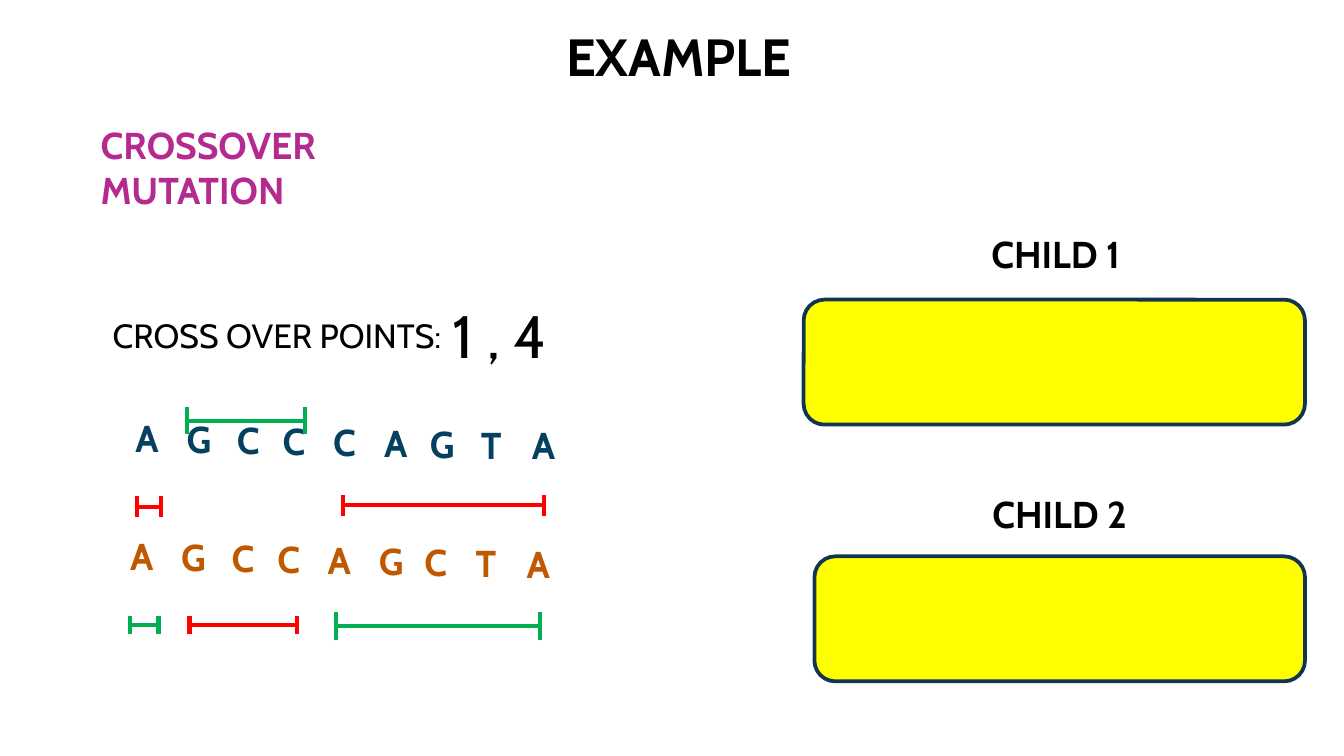
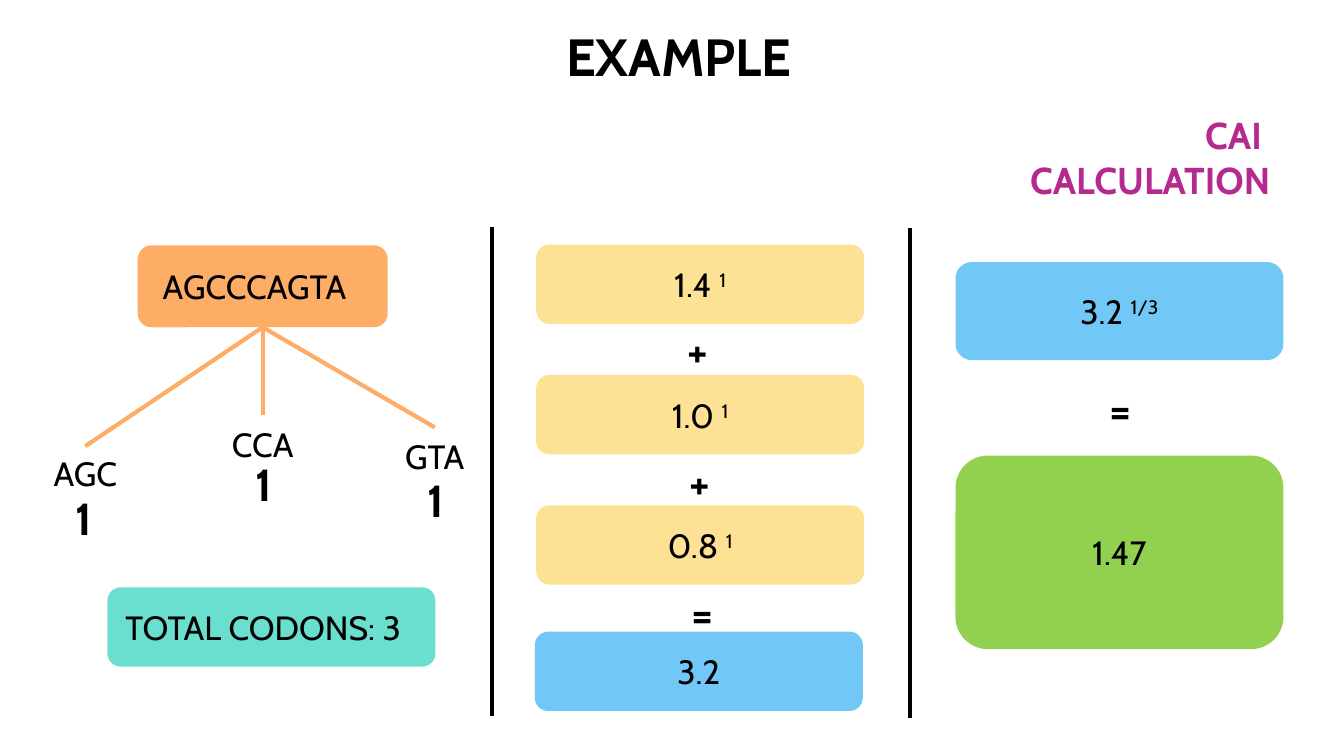
from dataclasses import dataclass
from itertools import accumulate
from typing import NamedTuple

from lxml import etree
from pptx import Presentation
from pptx.dml.color import RGBColor
from pptx.enum.shapes import MSO_CONNECTOR, MSO_SHAPE
from pptx.enum.text import MSO_ANCHOR, PP_ALIGN
from pptx.oxml.ns import qn
from pptx.util import Inches, Pt

STRAIGHT = MSO_CONNECTOR.STRAIGHT
ROUNDED = MSO_SHAPE.ROUNDED_RECTANGLE
TOP, MIDDLE = MSO_ANCHOR.TOP, MSO_ANCHOR.MIDDLE
LEFT, CENTER, RIGHT = PP_ALIGN.LEFT, PP_ALIGN.CENTER, PP_ALIGN.RIGHT
TOP_SIDE, BOTTOM_SIDE = 0, 2

SLIDE_WIDTH = Inches(10)
SLIDE_HEIGHT = SLIDE_WIDTH * 9 // 16
COLUMN = SLIDE_WIDTH / 100
ROW = SLIDE_HEIGHT / 56.25
PADDING = 1


@dataclass(frozen=True)
class Theme:
    font: str = "Cabin"
    black: str = "000000"
    heading: str = "B52A8F"
    first_parent: str = "054061"
    second_parent: str = "BF5901"
    red: str = "FF0000"
    green: str = "00B050"
    child: str = "FFFF00"
    child_edge: str = "123652"
    sequence: str = "FEAD67"
    total: str = "6ADFD0"
    term: str = "FDE295"
    result: str = "71C8F7"
    answer: str = "92D050"
    title_size: int = 28
    points_size: int = 32
    count_size: int = 24
    label_size: int = 20
    body_size: int = 18
    line_width: float = 2.25
    edge_width: float = 2


THEME = Theme()


class Area(NamedTuple):
    left: float
    top: float
    width: float
    height: float

    def lengths(self) -> tuple[int, int, int, int]:
        return (round(self.left * COLUMN), round(self.top * ROW),
                round(self.width * COLUMN), round(self.height * ROW))


class Style(NamedTuple):
    size: int = THEME.body_size
    color: str = THEME.black
    bold: bool = False
    align: PP_ALIGN = CENTER
    anchor: MSO_ANCHOR = MIDDLE
    right_padding: float = PADDING
    top_padding: float = PADDING
    bottom_padding: float = PADDING


class Card(NamedTuple):
    area: Area
    text: str
    fill: str | None = None
    power: str = ""
    style: Style = Style()


class Bracket(NamedTuple):
    left: float
    right: float
    middle: float
    height: float
    color: str


class Strand(NamedTuple):
    letters: str
    left: float
    top: float
    color: str


class Codon(NamedTuple):
    name: str
    name_area: Area
    count_area: Area


LABEL = Style(THEME.label_size, bold=True)
COUNT = Style(THEME.count_size, bold=True)
TITLE = Style(THEME.title_size, bold=True, anchor=TOP)
SHIFTED = Style(right_padding=2.2)

LETTER_GAPS = (3.8, 3.75, 3.4, 3.75, 3.8, 3.4, 3.8, 3.8)
LETTER_DRIFT = 0.07
LETTER_RAISE = 3.3
BAR_OVERHANG = 0.1

STRANDS = (
    Strand("AGCCCAGTA", 9.1, 31.6, THEME.first_parent),
    Strand("AGCCAGCTA", 8.7, 40.4, THEME.second_parent),
)
BRACKETS = (
    Bracket(10.2, 12, 37.7, 1.6, THEME.red),
    Bracket(14.1, 22.1, 46.5, 1.4, THEME.red),
    Bracket(25.5, 40.5, 37.6, 1.6, THEME.red),
    Bracket(9.7, 11.8, 46.5, 1.4, THEME.green),
    Bracket(13.9, 22.7, 31.3, 2, THEME.green),
    Bracket(25, 40.2, 46.6, 2.1, THEME.green),
)
CHILDREN = (
    ("CHILD 1", Area(64, 16.3, 29.1, 5.2), Area(59.8, 22.3, 37.3, 9.3)),
    ("CHILD 2", Area(64.3, 35.6, 29.1, 5.2), Area(60.6, 41.4, 36.5, 9.3)),
)
CODONS = (
    Codon("AGC", Area(2.4, 33.2, 7.9, 4), Area(2.3, 36.5, 7.9, 4)),
    Codon("CCA", Area(15.6, 30.9, 7.9, 4.3), Area(15.7, 34, 7.9, 4)),
    Codon("GTA", Area(28.4, 31.8, 7.9, 4.3), Area(28.5, 35.2, 7.9, 4)),
)
TERMS = ("1.4 ", "1.0 ", "0.8 ")
OPERATORS = "++="
TERM_PITCH, OPERATOR_PITCH = 9.7, 9.8
DIVIDERS = ((36.6, 16.9), (67.7, 17))
DIVIDER_HEIGHT = 36.4


def write_text(box, lines: tuple[str, ...], style: Style, power: str = "") -> None:
    frame = box.text_frame
    frame.word_wrap = True
    frame.vertical_anchor = style.anchor
    frame.margin_left = round(PADDING * COLUMN)
    frame.margin_right = round(style.right_padding * COLUMN)
    frame.margin_top = round(style.top_padding * ROW)
    frame.margin_bottom = round(style.bottom_padding * ROW)
    for index, line in enumerate(lines):
        para = frame.add_paragraph() if index else frame.paragraphs[0]
        para.alignment = style.align
        para.font.name = THEME.font
        para.font.size = Pt(style.size)
        para.font.bold = style.bold
        para.font.color.rgb = RGBColor.from_string(style.color)
        para.add_run().text = line
    if power:
        span = para.add_run()
        span.text = power
        span._r.get_or_add_rPr().set("baseline", "30000")


def add_text(page, area: Area, lines: tuple[str, ...], style: Style) -> None:
    write_text(page.shapes.add_textbox(*area.lengths()), lines, style)


def add_box(page, area: Area, fill: str | None = None, edge: str | None = None):
    box = page.shapes.add_shape(ROUNDED, *area.lengths())
    box.shadow.inherit = False
    if fill:
        box.fill.solid()
        box.fill.fore_color.rgb = RGBColor.from_string(fill)
    else:
        box.fill.background()
    if edge:
        box.line.color.rgb = RGBColor.from_string(edge)
        box.line.width = Pt(THEME.edge_width)
    else:
        box.line.fill.background()
    return box


def add_card(page, card: Card):
    box = add_box(page, card.area, card.fill)
    write_text(box, (card.text,), card.style, card.power)
    return box


def add_line(shapes, start: tuple[float, float], end: tuple[float, float], color: str):
    line = shapes.add_connector(
        STRAIGHT, round(start[0] * COLUMN), round(start[1] * ROW),
        round(end[0] * COLUMN), round(end[1] * ROW))
    line.line.color.rgb = RGBColor.from_string(color)
    line.line.width = Pt(THEME.line_width)
    etree.SubElement(line._element.spPr, qn("a:effectLst"))
    return line


def add_bracket(page, bracket: Bracket) -> None:
    shapes = page.shapes.add_group_shape().shapes
    add_line(shapes, (bracket.left, bracket.middle),
             (bracket.right + BAR_OVERHANG, bracket.middle), bracket.color)
    half = bracket.height / 2
    for side in (bracket.left, bracket.right):
        add_line(shapes, (side, bracket.middle + half),
                 (side, bracket.middle - half), bracket.color)


def add_strand(page, strand: Strand) -> None:
    style = Style(THEME.label_size, strand.color, True, LEFT,
                  top_padding=0, bottom_padding=LETTER_RAISE)
    lefts = accumulate(LETTER_GAPS, initial=strand.left)
    for index, (letter, left) in enumerate(zip(strand.letters, lefts)):
        area = Area(left, strand.top + index * LETTER_DRIFT, 3.4, 5.2)
        add_text(page, area, (letter,), style)


def add_page(deck, heading: tuple[str, ...], area: Area, align: PP_ALIGN):
    page = deck.slides.add_slide(deck.slide_layouts[6])
    add_text(page, Area(5.5, 0.8, 90, 6.1), ("EXAMPLE",), TITLE)
    add_text(page, area, heading, Style(THEME.label_size, THEME.heading, True, align))
    return page


def build_crossover(deck) -> None:
    page = add_page(deck, ("CROSSOVER", "MUTATION"), Area(6.5, 8.8, 19.5, 7.2), LEFT)
    for name, label_area, box_area in CHILDREN:
        add_box(page, box_area, THEME.child, THEME.child_edge)
        add_text(page, label_area, (name,), LABEL)
    add_text(page, Area(7.4, 22.3, 29.1, 5.2), ("CROSS OVER POINTS:",), Style(align=LEFT))
    add_text(page, Area(32.7, 22.3, 10.1, 5.2), ("1 , 4",),
             Style(THEME.points_size, align=LEFT))
    for strand in STRANDS:
        add_strand(page, strand)
    for bracket in BRACKETS:
        add_bracket(page, bracket)


def build_calculation(deck) -> None:
    page = add_page(deck, ("CAI ", "CALCULATION"), Area(72.3, 8, 23.2, 7.4), RIGHT)
    sequence = add_card(page, Card(Area(10.25, 18.25, 18.6, 6.1), "AGCCCAGTA",
                                   THEME.sequence, style=SHIFTED))
    for codon in CODONS:
        name = add_card(page, Card(codon.name_area, codon.name))
        branch = add_line(page.shapes, (0, 0), (1, 1), THEME.sequence)
        branch.begin_connect(sequence, BOTTOM_SIDE)
        branch.end_connect(name, TOP_SIDE)
        add_card(page, Card(codon.count_area, "1", style=COUNT))
    for index, (term, operator) in enumerate(zip(TERMS, OPERATORS)):
        term_area = Area(39.9, 18.2 + index * TERM_PITCH, 24.4, 5.9)
        sign_area = Area(48 + index * 0.15, 24 + index * OPERATOR_PITCH, 7.9, 4)
        add_card(page, Card(term_area, term, THEME.term, "1"))
        add_card(page, Card(sign_area, operator, style=COUNT))
    for card in (
        Card(Area(8, 43.7, 24.4, 5.9), "TOTAL CODONS: 3", THEME.total, style=SHIFTED),
        Card(Area(39.8, 47, 24.4, 5.9), "3.2", THEME.result),
        Card(Area(71.1, 19.5, 24.4, 7.3), "3.2 ", THEME.result, "1/3"),
        Card(Area(79.4, 28.4, 7.9, 4), "=", style=COUNT),
        Card(Area(71.1, 33.9, 24.4, 14.4), "1.47", THEME.answer),
    ):
        add_card(page, card)
    for left, top in DIVIDERS:
        add_line(page.shapes, (left, top), (left, top + DIVIDER_HEIGHT), THEME.black)


def main() -> None:
    deck = Presentation()
    deck.slide_width, deck.slide_height = SLIDE_WIDTH, SLIDE_HEIGHT
    build_crossover(deck)
    build_calculation(deck)
    deck.save("out.pptx")


if __name__ == "__main__":
    main()
